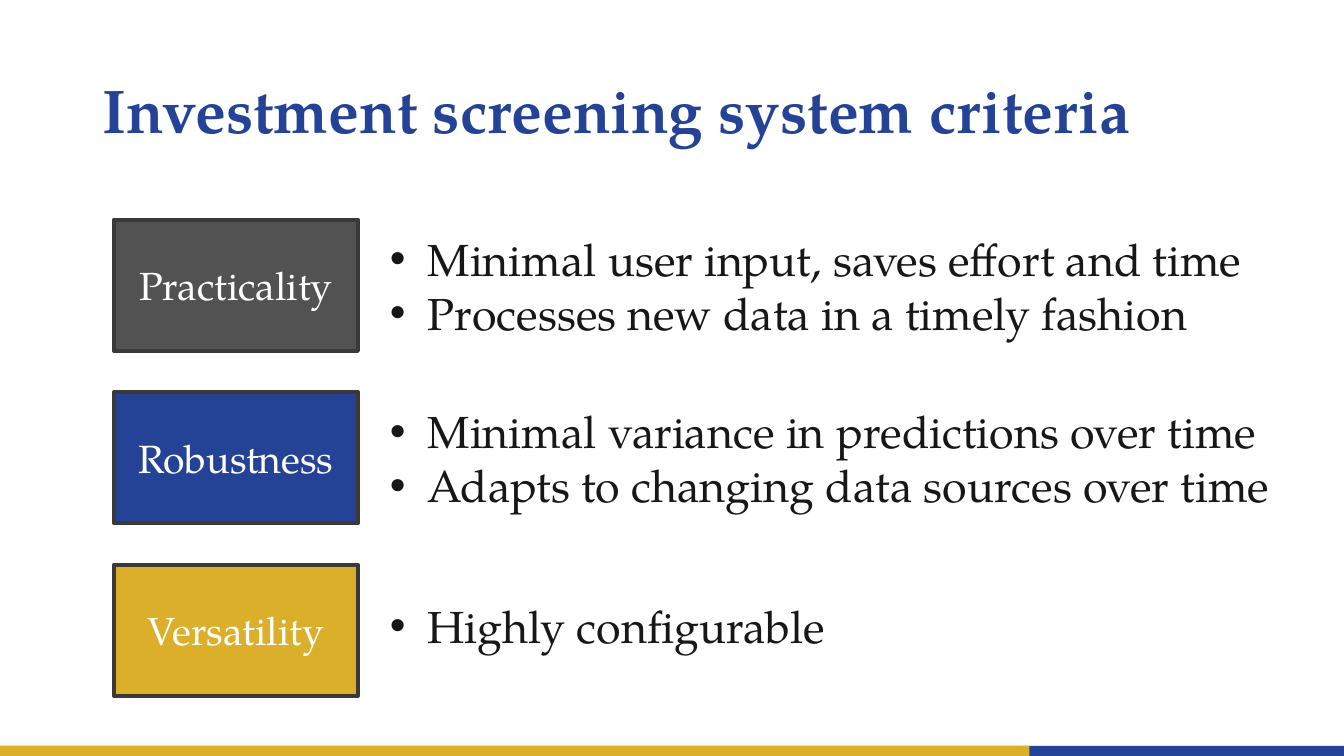
from lxml import etree
from pptx import Presentation
from pptx.dml.color import RGBColor
from pptx.enum.shapes import MSO_SHAPE
from pptx.enum.text import MSO_ANCHOR, PP_ALIGN
from pptx.oxml.ns import qn
from pptx.util import Pt

RECT = MSO_SHAPE.RECTANGLE
MIDDLE = MSO_ANCHOR.MIDDLE
LEFT, CENTER = PP_ALIGN.LEFT, PP_ALIGN.CENTER

FONT = "TeX Gyre Pagella"
BLUE = RGBColor(0x24, 0x43, 0x97)
GOLD = RGBColor(0xDC, 0xAF, 0x2A)
GRAY = RGBColor(0x52, 0x52, 0x52)
BORDER = RGBColor(0x3B, 0x38, 0x38)
INK = RGBColor(0x18, 0x17, 0x17)
WHITE = RGBColor(0xFF, 0xFF, 0xFF)

SLIDE_W, SLIDE_H = 960, 540
ROW_TOP, ROW_PITCH, ROW_H = 157, 123.2, 93.6
LABEL_W, GAP = 174.2, 15.8
INDENT = 27

# Label, fill, bullet points, upward shift of the bullet text
CRITERIA = [
    ("Practicality", GRAY, ["Minimal user input, saves effort and time",
                            "Processes new data in a timely fashion"], 0),
    ("Robustness", BLUE, ["Minimal variance in predictions over time",
                          "Adapts to changing data sources over time"], 0),
    ("Versatility", GOLD, ["Highly configurable"], 3.6),
]


def style_text(p, size, color, bold=False, align=LEFT):
    p.alignment = align
    for r in p.runs:
        r.font.name = FONT
        r.font.size = Pt(size)
        r.font.bold = bold
        r.font.color.rgb = color


def add_bullet(p):
    pPr = p._p.get_or_add_pPr()
    pPr.set("marL", str(Pt(INDENT)))
    pPr.set("indent", str(-Pt(INDENT)))
    etree.SubElement(pPr, qn("a:buFont")).set("typeface", "Arial")
    etree.SubElement(pPr, qn("a:buChar")).set("char", "•")


def add_rect(slide, x, y, w, h, fill):
    sp = slide.shapes.add_shape(RECT, Pt(x), Pt(y), Pt(w), Pt(h))
    sp.shadow.inherit = False
    sp.fill.solid()
    sp.fill.fore_color.rgb = fill
    sp.line.fill.background()
    return sp


def add_title(slide, x, y, w, h):
    title = slide.shapes.title
    title.left, title.top, title.width, title.height = Pt(x), Pt(y), Pt(w), Pt(h)
    tf = title.text_frame
    tf.text = "Investment screening system criteria"
    tf.vertical_anchor = MIDDLE
    p = tf.paragraphs[0]
    p.line_spacing = 0.9
    style_text(p, 44, BLUE, bold=True)


def add_footer(slide, x, y, w, h):
    add_rect(slide, x, y, w, h, BLUE)
    add_rect(slide, x, y, w * 0.766, h, GOLD)


def add_criterion(slide, x, y, w, h, label, fill, points, lift):
    # Coloured label
    sp = add_rect(slide, x, y, LABEL_W, h, fill)
    sp.line.color.rgb = BORDER
    sp.line.width = Pt(3)
    tf = sp.text_frame
    tf.text = label
    tf.vertical_anchor = MIDDLE
    style_text(tf.paragraphs[0], 28, WHITE, align=CENTER)

    # Bullet points
    offset = LABEL_W + GAP
    box = slide.shapes.add_textbox(Pt(x + offset), Pt(y - lift), Pt(w - offset), Pt(h))
    tf = box.text_frame
    tf.word_wrap = True
    tf.vertical_anchor = MIDDLE
    tf.text = "\n".join(points)
    for p in tf.paragraphs:
        style_text(p, 32, INK)
        add_bullet(p)


prs = Presentation()
prs.slide_width, prs.slide_height = Pt(SLIDE_W), Pt(SLIDE_H)
slide = prs.slides.add_slide(prs.slide_layouts.get_by_name("Title Only"))

add_title(slide, 66, 28.8, 834, 104.4)
add_footer(slide, 0, 532.8, SLIDE_W, 7.2)
for i, criterion in enumerate(CRITERIA):
    add_criterion(slide, 81.4, ROW_TOP + i * ROW_PITCH, 852.4, ROW_H, *criterion)

prs.save("out.pptx")
